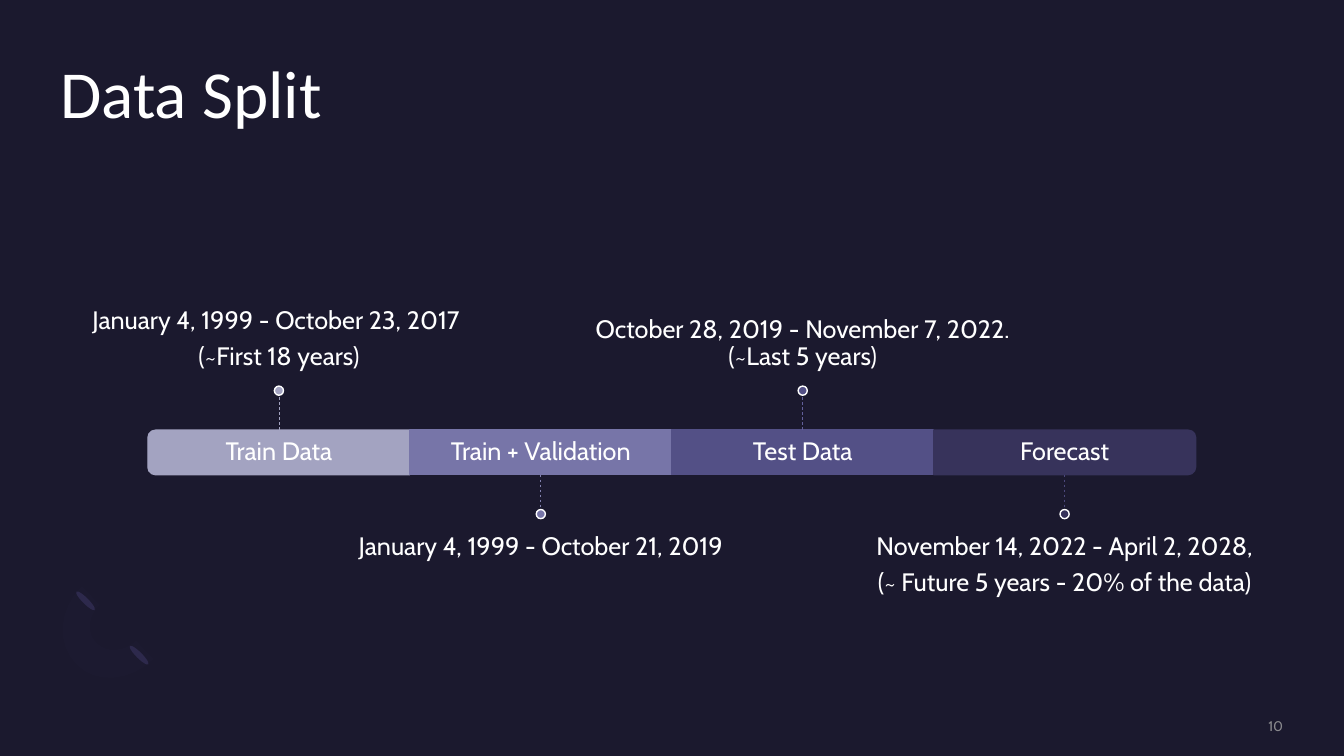
"""Build the Data Split timeline slide."""
from lxml.etree import SubElement
from pptx import Presentation
from pptx.dml.color import RGBColor
from pptx.enum.dml import MSO_LINE
from pptx.enum.shapes import MSO_CONNECTOR, MSO_SHAPE
from pptx.enum.text import MSO_ANCHOR, MSO_AUTO_SIZE, PP_ALIGN
from pptx.oxml.ns import qn
from pptx.util import Cm, Pt

COLORS = {
    "background": "1B192E", "text": "FFFFFF", "number": "A6A6A6",
    "train": "A3A3C1", "validation": "7775A8", "test": "535086", "forecast": "37335B",
    "train_line": "A3A3C1", "validation_line": "8281AE",
    "test_line": "625F9A", "forecast_line": "4C487B",
    "ellipse": "2C284A", "arc": "7771B2",
}


def write_text(shape, lines, size, color, align, anchor, font="Cabin",
               insets=(0, 0, 0, 0), spacing=0.9, after=0):
    frame = shape.text_frame
    frame.word_wrap = True
    frame.auto_size = MSO_AUTO_SIZE.NONE
    frame.vertical_anchor = anchor
    frame.margin_left, frame.margin_top, frame.margin_right, frame.margin_bottom = map(Cm, insets)
    for index, line in enumerate(lines):
        paragraph = frame.add_paragraph() if index else frame.paragraphs[0]
        paragraph.alignment = align
        paragraph.line_spacing = spacing
        paragraph.space_before = Pt(0)
        paragraph.space_after = Pt(after)
        run = paragraph.add_run()
        run.text = line
        run.font.name = font
        run.font.size = Pt(size)
        run.font.color.rgb = RGBColor.from_string(COLORS[color])


def paint(shape, fill, outline=None):
    shape.shadow.inherit = False
    shape.fill.solid()
    shape.fill.fore_color.rgb = RGBColor.from_string(COLORS[fill])
    if outline:
        shape.line.color.rgb = RGBColor.from_string(COLORS[outline])
        shape.line.width = Pt(1)
    else:
        shape.line.fill.background()


presentation = Presentation()
presentation.slide_width = Cm(33.87)
presentation.slide_height = Cm(19.05)
slide = presentation.slides.add_slide(presentation.slide_layouts[5])
slide.background.fill.solid()
slide.background.fill.fore_color.rgb = RGBColor.from_string(COLORS["background"])
shapes = slide.shapes

title = shapes.title
title.left, title.top, title.width, title.height = Cm(1.52), Cm(1.52), Cm(30.81), Cm(3.71)
write_text(title, ["Data Split"], 48, "text", PP_ALIGN.LEFT, MSO_ANCHOR.TOP, "Calibri")

for left, top in [(3.43, 16.18), (2.08, 14.81)]:
    ellipse = shapes.add_shape(MSO_SHAPE.OVAL, Cm(left), Cm(top), Cm(0.15), Cm(0.66))
    ellipse.rotation = 135
    paint(ellipse, "ellipse")

arc_curves = [
    [(1.93, 16.74), (1.42, 16.23), (1.47, 15.37), (2.06, 14.78)],
    [(2.51, 15.24), (2.21, 15.52), (2.18, 15.98), (2.44, 16.21)],
    [(2.44, 16.21), (2.69, 16.46), (3.12, 16.43), (3.43, 16.15)],
    [(3.86, 16.61), (3.3, 17.17), (2.41, 17.25), (1.93, 16.74)],
]
arc_points = []
for curve in arc_curves:
    for step in range(9):
        t = step / 8
        weights = [(1 - t) ** 3, 3 * t * (1 - t) ** 2, 3 * t ** 2 * (1 - t), t ** 3]
        arc_points.append(tuple(
            Cm(sum(weight * point[axis] for weight, point in zip(weights, curve)))
            for axis in (0, 1)))
builder = shapes.build_freeform(*arc_points[0])
builder.add_line_segments(arc_points[1:], close=True)
arc = builder.convert_to_shape()
paint(arc, "arc")
SubElement(arc._element.spPr.find(".//" + qn("a:srgbClr")), qn("a:alpha"), val="2000")

BAR_LEFT, BAR_TOP, BAR_HEIGHT, SEGMENT = 3.73, 10.84, 1.12, 6.6
DOT, STEM, DATE_WIDTH, DATE_HEIGHT, INSET = 0.23, 0.88, 11, 3.86, 0.38
segments = [
    ("train", "Train Data", ["January 4, 1999 - October 23, 2017 ", "(~First 18 years)"], 270),
    ("validation", "Train + Validation", ["January 4, 1999 - October 21, 2019"], None),
    ("test", "Test Data", ["October 28, 2019 - November 7, 2022. (~Last 5 years)"], None),
    ("forecast", "Forecast",
     ["November 14, 2022 - April 2, 2028,", "(~ Future 5 years - 20% of the data)"], 90),
]
for index, (name, label, dates, rotation) in enumerate(segments):
    left = BAR_LEFT + index * SEGMENT
    center = left + SEGMENT / 2
    above = index % 2 == 0

    if rotation is None:
        bar = shapes.add_shape(
            MSO_SHAPE.RECTANGLE, Cm(left), Cm(BAR_TOP), Cm(SEGMENT), Cm(BAR_HEIGHT))
    else:
        bar = shapes.add_shape(
            MSO_SHAPE.ROUND_2_SAME_RECTANGLE, Cm(center - BAR_HEIGHT / 2),
            Cm(BAR_TOP + (BAR_HEIGHT - SEGMENT) / 2), Cm(BAR_HEIGHT), Cm(SEGMENT))
        bar.rotation = rotation
    paint(bar, name, name)

    label_box = shapes.add_textbox(Cm(left), Cm(BAR_TOP), Cm(SEGMENT), Cm(BAR_HEIGHT))
    write_text(label_box, [label], 18, "text", PP_ALIGN.CENTER, MSO_ANCHOR.MIDDLE,
               insets=(INSET,) * 4, after=6.3)

    if above:
        stem_start, stem_end = BAR_TOP, BAR_TOP - STEM
        dot_top = stem_end - DOT
        date_top, date_anchor = dot_top - DATE_HEIGHT, MSO_ANCHOR.BOTTOM
        date_insets = (0, 0, 0, INSET)
    else:
        stem_start, stem_end = BAR_TOP + BAR_HEIGHT, BAR_TOP + BAR_HEIGHT + STEM
        dot_top = stem_end
        date_top, date_anchor = dot_top + DOT, MSO_ANCHOR.TOP
        date_insets = (0, INSET, 0, 0)

    date_box = shapes.add_textbox(
        Cm(center - DATE_WIDTH / 2), Cm(date_top), Cm(DATE_WIDTH), Cm(DATE_HEIGHT))
    write_text(date_box, dates, 18, "text", PP_ALIGN.CENTER, date_anchor,
               insets=date_insets, after=6.3)

    stem = shapes.add_connector(
        MSO_CONNECTOR.STRAIGHT, Cm(center), Cm(stem_start), Cm(center), Cm(stem_end))
    if rotation is None:
        stem.begin_connect(bar, 0 if above else 2)
    stem.line.color.rgb = RGBColor.from_string(COLORS[name + "_line"])
    stem.line.width = Pt(0.5)
    stem.line.dash_style = MSO_LINE.DASH
    SubElement(stem._element.spPr, qn("a:effectLst"))

    dot = shapes.add_shape(MSO_SHAPE.OVAL, Cm(center - DOT / 2), Cm(dot_top), Cm(DOT), Cm(DOT))
    paint(dot, name, "text")

number_box = shapes.add_textbox(Cm(27.64), Cm(18.08), Cm(4.7), Cm(0.43))
write_text(number_box, ["10"], 10, "number", PP_ALIGN.RIGHT, MSO_ANCHOR.MIDDLE, spacing=1.0)
SubElement(number_box._element.find(".//" + qn("a:srgbClr")), qn("a:alpha"), val="80000")

presentation.save("out.pptx")
